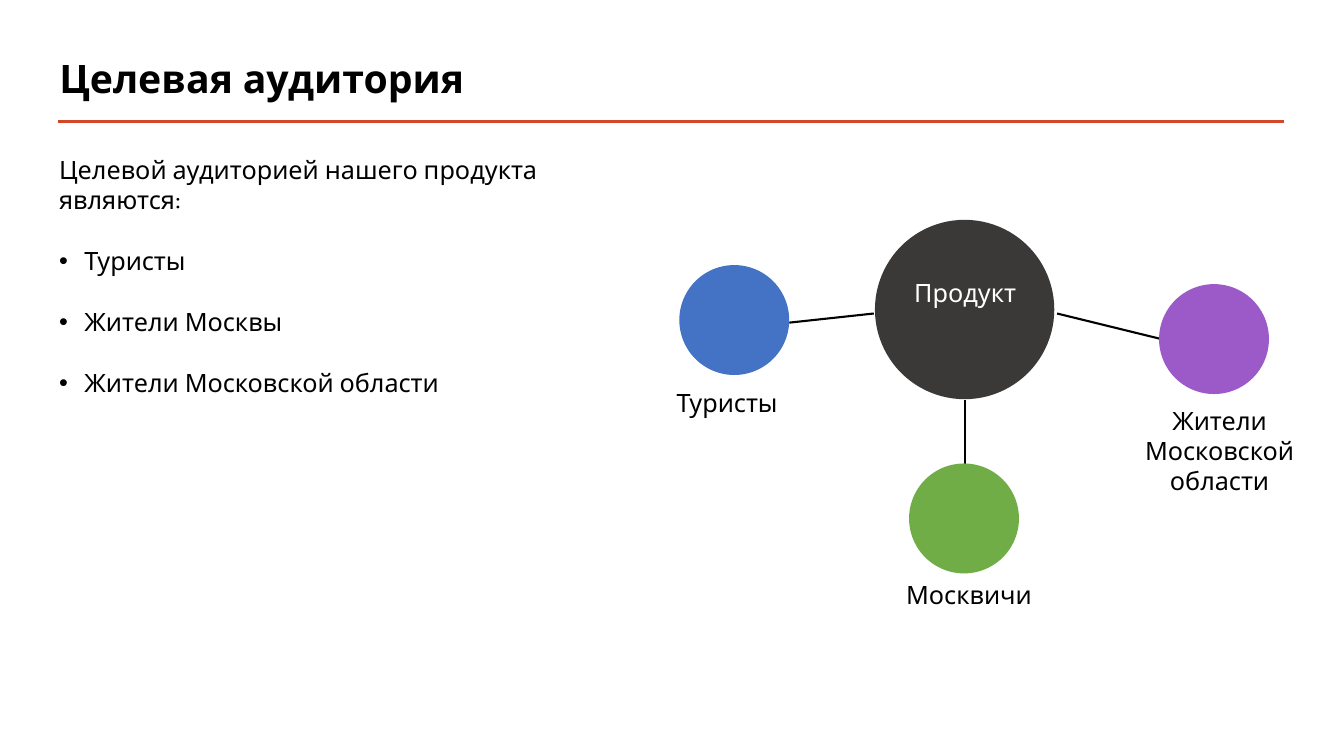
from lxml.etree import SubElement
from pptx import Presentation
from pptx.dml.color import RGBColor
from pptx.enum.shapes import MSO_CONNECTOR, MSO_SHAPE
from pptx.enum.text import MSO_ANCHOR, PP_ALIGN
from pptx.oxml.ns import qn
from pptx.util import Cm, Pt

COLORS = {
    "black": "000000", "white": "FFFFFF", "red": "D24726", "dark": "3B3838",
    "blue": "4472C4", "green": "70AD47", "purple": "9B5AC8",
}


def rgb(name):
    """Return the named colour."""
    return RGBColor.from_string(COLORS[name])


def write(p, text, size=18, color="black", bold=False, align=PP_ALIGN.LEFT,
          before=0, after=0, bullet=False):
    """Fill a paragraph with formatted text."""
    p.alignment = align
    p.space_before, p.space_after = Pt(before), Pt(after)
    if bullet:
        pPr = p._p.get_or_add_pPr()
        pPr.set("marL", str(Cm(0.64)))
        pPr.set("indent", str(-Cm(0.64)))
        SubElement(pPr, qn("a:buFont")).set("typeface", "Arial")
        SubElement(pPr, qn("a:buChar")).set("char", "•")
    r = p.add_run()
    r.text = text
    r.font.name = "Karla"
    r.font.size = Pt(size)
    r.font.bold = bold
    r.font.color.rgb = rgb(color)


class Deck:
    """Slide builder holding the style and the current slide."""

    def __init__(self):
        """Start a wide presentation with a title-only slide."""
        self.prs = Presentation()
        self.prs.slide_width, self.prs.slide_height = Cm(33.87), Cm(19.05)
        self.s = self.prs.slides.add_slide(self.prs.slide_layouts[5])
        self.shapes = self.s.shapes

    def start_group(self):
        """Put the following elements into a new group."""
        self.shapes = self.s.shapes.add_group_shape().shapes

    def title(self, text, x, y, w, h):
        """Place and format the title placeholder."""
        sp = self.s.shapes.title
        sp.left, sp.top, sp.width, sp.height = Cm(x), Cm(y), Cm(w), Cm(h)
        tf = sp.text_frame
        tf.vertical_anchor = MSO_ANCHOR.MIDDLE
        tf.paragraphs[0].line_spacing = 0.9
        write(tf.paragraphs[0], text, size=28, bold=True)

    def text(self, x, y, w, h):
        """Add a wrapping text box and return its frame."""
        tf = self.shapes.add_textbox(Cm(x), Cm(y), Cm(w), Cm(h)).text_frame
        tf.word_wrap = True
        return tf

    def label(self, text, x, y, w, h=1.02, color="black"):
        """Add a centred caption."""
        write(self.text(x, y, w, h).paragraphs[0], text, color=color, align=PP_ALIGN.CENTER)

    def body(self, intro, items, x, y, w, h):
        """Add an introduction followed by a bulleted list."""
        tf = self.text(x, y, w, h)
        write(tf.paragraphs[0], intro, after=12)
        for item in items:
            write(tf.add_paragraph(), item, before=10, after=12, bullet=True)

    def circle(self, x, y, d, color):
        """Add a filled circle without an outline."""
        sp = self.shapes.add_shape(MSO_SHAPE.OVAL, Cm(x), Cm(y), Cm(d), Cm(d))
        sp.shadow.inherit = False
        sp.fill.solid()
        sp.fill.fore_color.rgb = rgb(color)
        sp.line.fill.background()

    def line(self, x1, y1, x2, y2, color="black", width=1.5):
        """Add a straight line."""
        cn = self.shapes.add_connector(MSO_CONNECTOR.STRAIGHT, Cm(x1), Cm(y1), Cm(x2), Cm(y2))
        cn.line.color.rgb = rgb(color)
        cn.line.width = Pt(width)
        SubElement(cn._element.spPr, qn("a:effectLst"))


def main():
    """Build the target audience slide."""
    deck = Deck()
    deck.line(1.47, 3.07, 32.36, 3.07, color="red", width=2)
    deck.title("Целевая аудитория", 1.24, 1.14, 25.4, 1.78)
    deck.body("Целевой аудиторией нашего продукта являются:",
              ["Туристы", "Жители Москвы", "Жители Московской области"],
              1.24, 3.76, 13.82, 11.05)

    deck.start_group()
    for ends in [(26.64, 7.9, 29.21, 8.53), (22.02, 7.9, 19.89, 8.13),
                 (24.31, 10.08, 24.31, 11.68)]:
        deck.line(*ends)
    for x, y, color in [(29.21, 7.16, "purple"), (17.12, 6.68, "blue"), (22.91, 11.68, "green")]:
        deck.circle(x, y, 2.77, color)
    deck.circle(22.05, 5.54, 4.52, "dark")
    deck.label("Продукт", 21.77, 6.86, 5.11, color="white")
    deck.label("Туристы", 16.38, 9.63, 3.89)
    deck.label("Москвичи", 22.4, 14.48, 4.04)
    deck.label("Жители Московской области", 27.99, 10.08, 5.49, 2.62)
    deck.prs.save("out.pptx")


if __name__ == "__main__":
    main()
